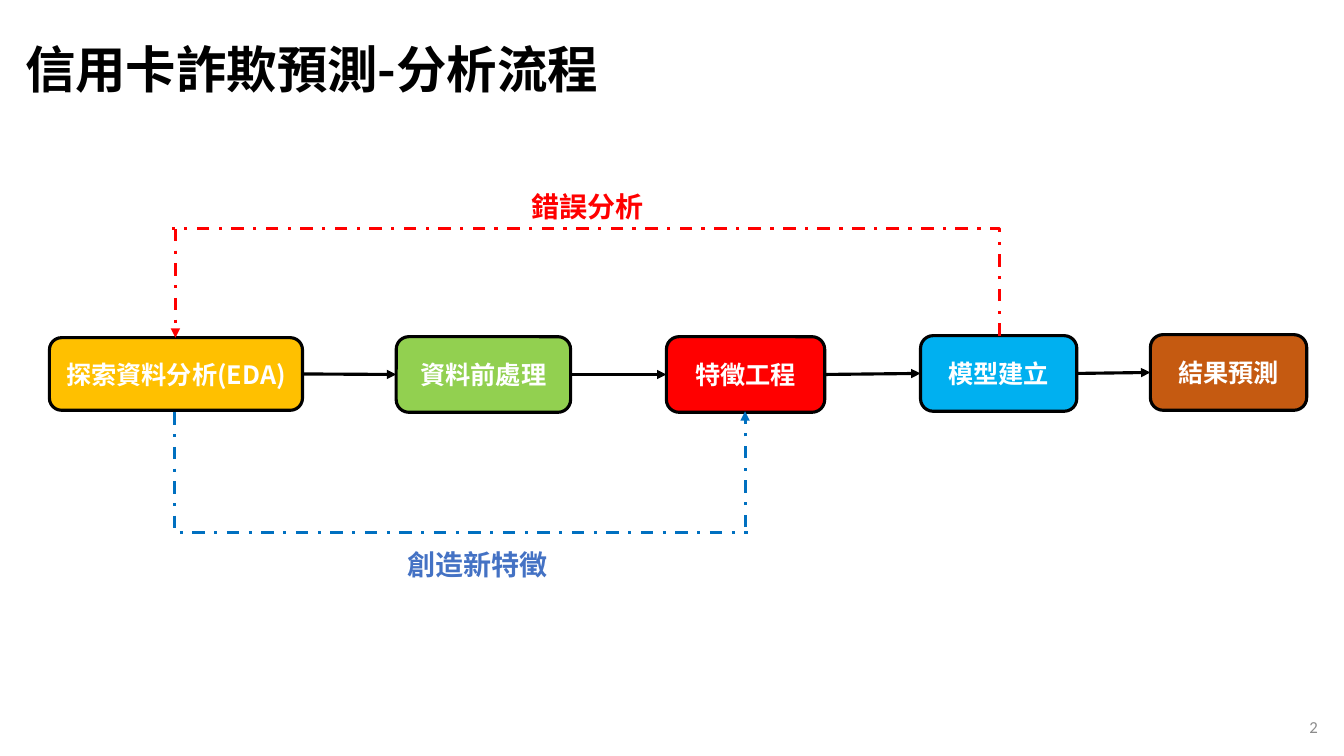
from dataclasses import dataclass
from itertools import pairwise

from lxml.etree import SubElement
from pptx import Presentation
from pptx.dml.color import RGBColor
from pptx.enum.dml import MSO_LINE
from pptx.enum.shapes import MSO_CONNECTOR, MSO_SHAPE
from pptx.enum.text import MSO_ANCHOR, PP_ALIGN
from pptx.oxml.ns import qn
from pptx.util import Inches, Pt

COLORS = {
    "black": "000000", "white": "FFFFFF", "gold": "FFC000", "green": "92D050",
    "red": "FF0000", "sky": "00B0F0", "brown": "C55A11", "blue": "0070C0",
    "label": "4472C4", "gray": "8C8C8C",
}
CJK = "Noto Sans CJK SC"
Point = tuple[float, float]


@dataclass
class Step:
    text: str
    left: float
    top: float
    width: float
    height: float
    fill: str

    @property
    def mid(self) -> float:
        return self.top + self.height / 2


@dataclass
class Loop:
    """A dash-dot route whose last leg is an arrow."""
    color: str
    route: list[Point]
    start: Point
    end: Point


@dataclass
class Label:
    text: str
    left: float
    top: float
    width: float
    height: float
    size: int
    color: str
    align: PP_ALIGN = PP_ALIGN.CENTER
    anchor: MSO_ANCHOR = MSO_ANCHOR.TOP
    wrap: bool = False
    bold: bool = True
    font: str = CJK
    space: float = 1.0


STEPS = [
    Step("探索資料分析(EDA)", 0.49, 3.35, 2.51, 0.72, "gold"),
    Step("資料前處理", 3.93, 3.34, 1.73, 0.75, "green"),
    Step("特徵工程", 6.61, 3.34, 1.57, 0.75, "red"),
    Step("模型建立", 9.13, 3.33, 1.55, 0.75, "sky"),
    Step("結果預測", 11.41, 3.32, 1.55, 0.75, "brown"),
]
LOOPS = [
    Loop("red", [(9.91, 3.33), (9.91, 2.27), (1.71, 2.27)], (1.74, 2.27), (1.74, 3.35)),
    Loop("blue", [(1.73, 4.09), (1.73, 5.28), (7.42, 5.28)], (7.39, 5.23), (7.39, 4.08)),
]
LABELS = [
    Label("信用卡詐欺預測-分析流程", 0.15, 0.04, 10.73, 1.35, 36, "black",
          PP_ALIGN.LEFT, MSO_ANCHOR.MIDDLE, True, space=0.9),
    Label("錯誤分析", 5.17, 1.83, 1.32, 0.44, 20, "red"),
    Label("創造新特徵", 3.94, 5.38, 1.6, 0.44, 20, "label"),
    Label("2", 10.17, 7.01, 3, 0.4, 12, "gray",
          PP_ALIGN.RIGHT, MSO_ANCHOR.MIDDLE, True, False, "Calibri"),
]


def rgb(name: str) -> RGBColor:
    return RGBColor.from_string(COLORS[name])


def assign(target, values: dict) -> None:
    for key, value in values.items():
        setattr(target, key, value)


def write(shape, item: Label) -> None:
    frame = shape.text_frame
    assign(frame, {"word_wrap": item.wrap, "vertical_anchor": item.anchor})
    para = frame.paragraphs[0]
    assign(para, {"alignment": item.align, "line_spacing": item.space})
    run = para.add_run()
    run.text = item.text
    assign(run.font, {"size": Pt(item.size), "bold": item.bold, "name": item.font})
    run.font.color.rgb = rgb(item.color)
    SubElement(run.font._element, qn("a:ea"), typeface=item.font)


def stroke(line, color: str, dash: MSO_LINE | None = None) -> None:
    line.color.rgb = rgb(color)
    assign(line, {"width": Pt(2.25), "dash_style": dash})


def add_label(shapes, item: Label) -> None:
    area = map(Inches, (item.left, item.top, item.width, item.height))
    write(shapes.add_textbox(*area), item)


def add_step(shapes, step: Step) -> None:
    area = (step.left, step.top, step.width, step.height)
    box = shapes.add_shape(MSO_SHAPE.ROUNDED_RECTANGLE, *map(Inches, area))
    box.shadow.inherit = False
    box.fill.solid()
    box.fill.fore_color.rgb = rgb(step.fill)
    stroke(box.line, "black")
    write(box, Label(step.text, *area, 18, "white", anchor=MSO_ANCHOR.MIDDLE))


def add_arrow(shapes, start: Point, end: Point, color: str,
              dash: MSO_LINE | None = None) -> None:
    arrow = shapes.add_connector(MSO_CONNECTOR.STRAIGHT, *map(Inches, start + end))
    stroke(arrow.line, color, dash)
    SubElement(arrow.line._get_or_add_ln(), qn("a:tailEnd"), type="triangle")
    SubElement(arrow._element.spPr, qn("a:effectLst"))


def add_loop(shapes, loop: Loop) -> None:
    first, *rest = [tuple(map(Inches, point)) for point in loop.route]
    pen = shapes.build_freeform(*first)
    pen.add_line_segments(rest, close=False)
    bend = pen.convert_to_shape()
    bend.shadow.inherit = False
    bend.fill.background()
    stroke(bend.line, loop.color, MSO_LINE.DASH_DOT)
    add_arrow(shapes, loop.start, loop.end, loop.color, MSO_LINE.DASH_DOT)


def main() -> None:
    deck = Presentation()
    assign(deck, {"slide_width": Inches(13.33), "slide_height": Inches(7.5)})
    shapes = deck.slides.add_slide(deck.slide_layouts[6]).shapes
    for step in STEPS:
        add_step(shapes, step)
    for here, after in pairwise(STEPS):
        add_arrow(shapes, (here.left + here.width, here.mid),
                  (after.left, after.mid), "black")
    for loop in LOOPS:
        add_loop(shapes, loop)
    for item in LABELS:
        add_label(shapes, item)
    deck.save("out.pptx")


if __name__ == "__main__":
    main()
